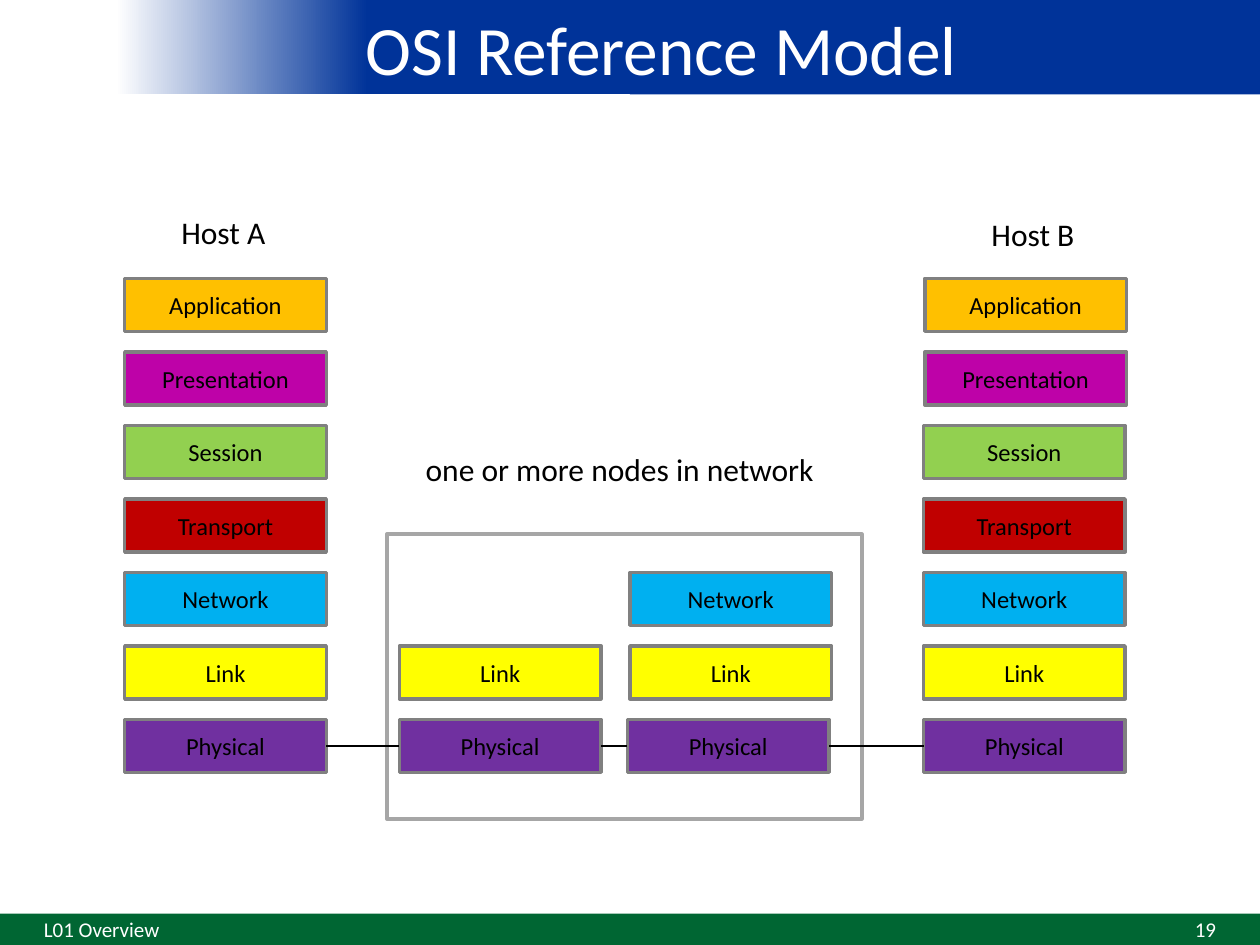
from pptx import Presentation
from pptx.dml.color import RGBColor
from pptx.enum.shapes import MSO_CONNECTOR, MSO_SHAPE
from pptx.enum.text import MSO_ANCHOR, PP_ALIGN
from pptx.oxml.ns import qn
from pptx.util import Inches, Pt
from lxml import etree

RECT, STRAIGHT = MSO_SHAPE.RECTANGLE, MSO_CONNECTOR.STRAIGHT
TOP, MIDDLE = MSO_ANCHOR.TOP, MSO_ANCHOR.MIDDLE
LEFT, CENTER, RIGHT = PP_ALIGN.LEFT, PP_ALIGN.CENTER, PP_ALIGN.RIGHT
LEFT_SITE, RIGHT_SITE = 1, 3

COLORS = {
    "header": "003399", "footer": "006633", "white": "FFFFFF", "black": "000000",
    "border": "808080", "frame": "A6A6A6",
    "Application": "FFC000", "Presentation": "BE02A8", "Session": "92D050",
    "Transport": "C00000", "Network": "00B0F0", "Link": "FFFF00",
    "Physical": "7030A0",
}
LAYERS = ["Application", "Presentation", "Session", "Transport",
          "Network", "Link", "Physical"]


def rgb(name):
    return RGBColor.from_string(COLORS[name])


class Diagram:
    font = "Calibri"

    def __init__(self, slide):
        self.slide = slide

    def set_text(self, shape, text, size, color="black", align=LEFT, anchor=TOP, wrap=True):
        frame = shape.text_frame
        for name, value in {"word_wrap": wrap, "vertical_anchor": anchor}.items():
            setattr(frame, name, value)
        paragraph = frame.paragraphs[0]
        paragraph.alignment = align
        run = paragraph.add_run()
        run.text = text
        for name, value in {"name": self.font, "size": Pt(size)}.items():
            setattr(run.font, name, value)
        run.font.color.rgb = rgb(color)

    def label(self, box, text, size, **style):
        self.set_text(self.slide.shapes.add_textbox(*map(Inches, box)), text, size, **style)

    def block(self, box, fill=None, border=None):
        shape = self.slide.shapes.add_shape(RECT, *map(Inches, box))
        shape.shadow.inherit = False
        if fill:
            shape.fill.solid()
            shape.fill.fore_color.rgb = rgb(fill)
        else:
            shape.fill.background()
        if border:
            shape.line.color.rgb = rgb(border)
            shape.line.width = Pt(2)
        else:
            shape.line.fill.background()
        return shape

    def fade(self, box, stops):
        fill = self.block(box).fill
        fill.gradient()
        fill.gradient_angle = 180
        for stop, (position, color) in zip(fill.gradient_stops, stops):
            stop.position = position
            stop.color.rgb = rgb(color)

    def link(self, start, end):
        line = self.slide.shapes.add_connector(STRAIGHT, 0, 0, 0, 0)
        line.begin_connect(start, RIGHT_SITE)
        line.end_connect(end, LEFT_SITE)
        line.line.color.rgb = rgb("black")
        line.line.width = Pt(1.5)
        etree.SubElement(line._element.spPr, qn("a:effectLst"))


deck = Presentation()
deck.slide_width, deck.slide_height = Inches(10), Inches(7.5)
diagram = Diagram(deck.slides.add_slide(deck.slide_layouts[6]))

# Header and footer bands
diagram.block((5, 0, 5, 0.75), "header")
diagram.fade((0.75, 0, 4.25, 0.75), [(0.49, "header"), (0.96, "white")])
diagram.block((0, 7.25, 10, 0.25), "footer")
diagram.label((0.75, 0, 9, 0.75), "OSI Reference Model", 39.6,
              color="white", align=CENTER, anchor=MIDDLE)

# Layer stacks: left edges from the top layer down, all ending at Physical
host_a, switch = [0.99] * 7, [3.17] * 2
router, host_b = [5, 5, 4.98], [7.34] * 2 + [7.33] * 5
first_top, pitch = 2.21, 3.5 / 6
physical_layers = []
for stack in (host_a, switch, router, host_b):
    first_layer = len(LAYERS) - len(stack)
    for row, left in enumerate(stack, first_layer):
        layer = diagram.block((left, first_top + row * pitch, 1.6, 0.42),
                              LAYERS[row], "border")
        diagram.set_text(layer, LAYERS[row], 14, align=CENTER, anchor=MIDDLE)
    physical_layers.append(layer)

# Network frame and the wires between physical layers
diagram.block((3.07, 4.24, 3.77, 2.26), border="frame")
for start, end in zip(physical_layers, physical_layers[1:]):
    diagram.link(start, end)

# Captions
for box, caption in [((1.34, 1.64, 0.92, 0.4), "Host A"),
                     ((7.77, 1.66, 0.92, 0.4), "Host B"),
                     ((3.28, 3.52, 3.39, 0.4), "one or more nodes in network")]:
    diagram.label(box, caption, 18, wrap=False)

# Footer text
for left, text, align in [(0.25, "L01 Overview", LEFT), (7.42, "19", RIGHT)]:
    diagram.label((left, 7.25, 2.33, 0.25), text, 12,
                  color="white", align=align, anchor=MIDDLE)

deck.save("out.pptx")
